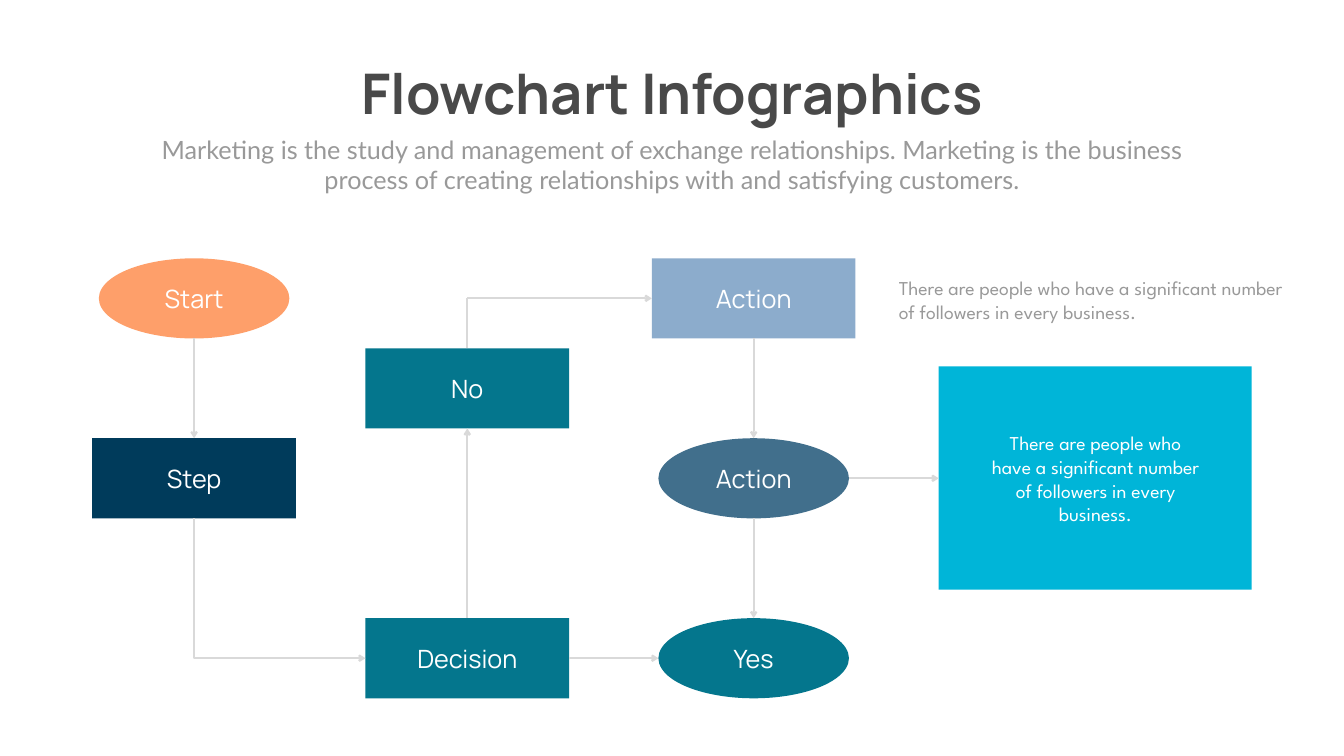
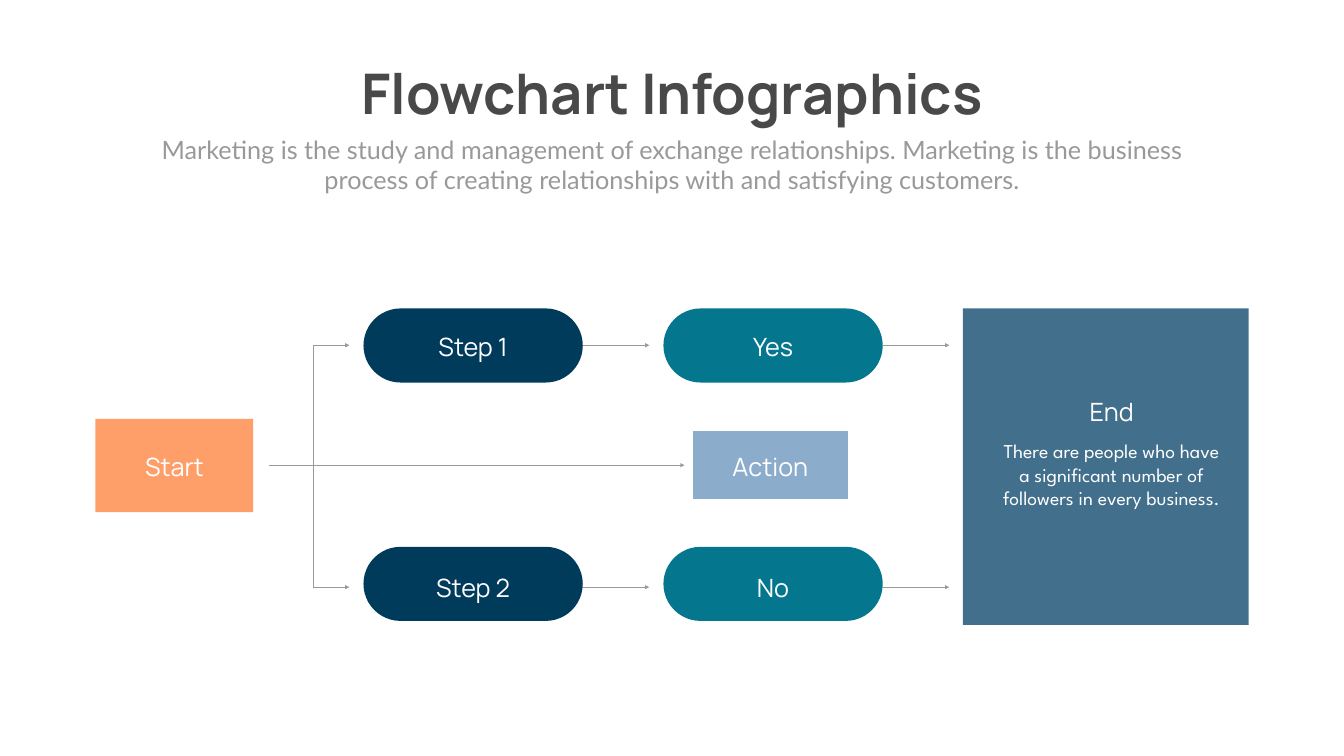
"""Build two flowchart infographic slides."""
from lxml.etree import SubElement
from pptx import Presentation
from pptx.dml.color import RGBColor
from pptx.enum.shapes import MSO_CONNECTOR as CONN, MSO_SHAPE as SHAPE
from pptx.enum.text import MSO_ANCHOR as ANCHOR, MSO_AUTO_SIZE as FIT, PP_ALIGN as ALIGN
from pptx.oxml.ns import qn
from pptx.util import Inches, Pt

WHITE = RGBColor(0xFF, 0xFF, 0xFF)
INK = RGBColor(0x49, 0x49, 0x49)
GREY = RGBColor(0x99, 0x99, 0x99)
PALE = RGBColor(0xD9, 0xD9, 0xD9)
ORANGE = RGBColor(0xFE, 0x9F, 0x6A)
NAVY = RGBColor(0x00, 0x3B, 0x5B)
TEAL = RGBColor(0x04, 0x76, 0x8D)
SKY = RGBColor(0x8C, 0xAC, 0xCC)
STEEL = RGBColor(0x41, 0x6F, 0x8C)
CYAN = RGBColor(0x00, 0xB5, 0xD8)

HEAD, LEAD, NOTE_FONT = "Manrope", "Lato", "League Spartan"
W, H = 26.66, 15

TITLE = "Flowchart Infographics"
SUBTITLE = ("Marketing is the study and management of exchange relationships. "
            "Marketing is the business process of creating relationships with "
            "and satisfying customers.")
NOTE = "There are people who have a significant number of followers in every business."

COLS = (3.85, 9.27, 14.95)
ROW_TOP, ROW_STEP = 5.92, 3.57
NODE_H = 1.59
NODE_W = {SHAPE.OVAL: 3.78, SHAPE.RECTANGLE: 4.04}
NODES = {
    "start": ("Start", SHAPE.OVAL, 0, 0, ORANGE),
    "step": ("Step", SHAPE.RECTANGLE, 0, 1, NAVY),
    "no": ("No", SHAPE.RECTANGLE, 1, 0.5, TEAL),
    "decision": ("Decision", SHAPE.RECTANGLE, 1, 2, TEAL),
    "action": ("Action", SHAPE.RECTANGLE, 2, 0, SKY),
    "review": ("Action", SHAPE.OVAL, 2, 1, STEEL),
    "yes": ("Yes", SHAPE.OVAL, 2, 2, TEAL),
}
DOWN = (("start", "step"), ("action", "review"), ("review", "yes"))
CALLOUT = (18.62, 7.27, 6.21, 4.43)

LANES = (6.85, 9.23, 11.65)
PILL_W, PILL_H = 4.35, 1.47
PILL_COLS, PILL_TOPS = (7.21, 13.16), {0: 6.12, 2: 10.85}
PILLS = (("Step 1", 0, 0, NAVY), ("Step 2", 0, 2, NAVY),
         ("Yes", 1, 0, TEAL), ("No", 1, 2, TEAL))
TRUNK, ARROW = 6.21, 1.32
LABEL_W, LABEL_H = 2.75, 0.71


def write(tf, text, size, font, color, align=ALIGN.CENTER, bold=False):
    p = tf.paragraphs[0]
    p.alignment = align
    p.space_before = Pt(0)
    r = p.add_run()
    r.text = text
    r.font.size, r.font.name, r.font.bold = Pt(size), font, bold
    r.font.color.rgb = color


def place(sp, box):
    sp.left, sp.top, sp.width, sp.height = map(Inches, box)


def add_block(s, kind, box, fill, text=None):
    sp = s.shapes.add_shape(kind, *map(Inches, box))
    sp.shadow.inherit = False
    sp.fill.solid()
    sp.fill.fore_color.rgb = fill
    sp.line.fill.background()
    if text:
        sp.text_frame.vertical_anchor = ANCHOR.MIDDLE
        write(sp.text_frame, text, 36, HEAD, WHITE)
    return sp


def add_text(s, box, text, size, font, color=WHITE, align=ALIGN.CENTER):
    tf = s.shapes.add_textbox(*map(Inches, box)).text_frame
    tf.word_wrap = True
    tf.auto_size = FIT.SHAPE_TO_FIT_TEXT
    write(tf, text, size, font, color, align)


def add_label(s, cx, cy, text):
    add_text(s, (cx - LABEL_W / 2, cy - LABEL_H / 2, LABEL_W, LABEL_H), text, 36, HEAD)


def add_line(s, x1, y1, x2, y2, color, width, head=None, kind=CONN.STRAIGHT):
    c = s.shapes.add_connector(kind, *map(Inches, (x1, y1, x2, y2)))
    c.line.color.rgb, c.line.width = color, Pt(width)
    if head:
        SubElement(c.line._get_or_add_ln(), qn("a:tailEnd"), type=head)
    SubElement(c._element.spPr, qn("a:effectLst"))
    return c


def add_elbow(s, x1, y1, x2, y2, color, width, head):
    cx, cy, dx, dy = (x1 + x2) / 2, (y1 + y2) / 2, x2 - x1, y2 - y1
    c = add_line(s, cx + dy / 2, cy - dx / 2, cx - dy / 2, cy + dx / 2,
                 color, width, head, CONN.ELBOW)
    c._element.spPr.find(qn("a:xfrm")).set("rot", "16200000")
    c._element.spPr.find(qn("a:prstGeom")).set("prst", "bentConnector2")


def add_slide(prs):
    s = prs.slides.add_slide(prs.slide_layouts[0])
    title, lead = s.placeholders
    place(title, (6.55, 1.12, 13.57, 1.45))
    place(lead, (2.92, 2.61, 20.82, 1.31))
    for sp in (title, lead):
        sp.text_frame.vertical_anchor = ANCHOR.TOP
        sp.text_frame.auto_size = FIT.SHAPE_TO_FIT_TEXT
    title.text_frame.word_wrap = False
    write(title.text_frame, TITLE, 80, HEAD, INK, bold=True)
    write(lead.text_frame, SUBTITLE, 36, LEAD, GREY)
    return s


def decision_slide(prs):
    s = add_slide(prs)
    edges = {}
    for key, (text, kind, col, row, fill) in NODES.items():
        w, cx, cy = NODE_W[kind], COLS[col], ROW_TOP + row * ROW_STEP
        left, top = cx - w / 2, cy - NODE_H / 2
        add_block(s, kind, (left, top, w, NODE_H), fill, text)
        edges[key] = {"x": cx, "y": cy, "left": left, "right": left + w,
                      "top": top, "bottom": top + NODE_H}
    add_block(s, SHAPE.RECTANGLE, CALLOUT, CYAN)

    style = (PALE, 3, "arrow")
    for a, b in DOWN:
        add_line(s, edges[a]["x"], edges[a]["bottom"], edges[b]["x"], edges[b]["top"], *style)
    step, no, decision, action, review, yes = (
        edges[k] for k in ("step", "no", "decision", "action", "review", "yes"))
    add_elbow(s, step["x"], step["bottom"], decision["left"], decision["y"], *style)
    add_line(s, decision["x"], decision["top"], no["x"], no["bottom"], *style)
    add_line(s, no["x"], no["top"], no["x"], action["y"], PALE, 3)
    add_line(s, no["x"], action["y"], action["left"], action["y"], *style)
    add_line(s, decision["right"], yes["y"], yes["left"], yes["y"], *style)
    add_line(s, review["right"], review["y"], CALLOUT[0], review["y"], *style)

    add_text(s, (19.54, 8.51, 4.38, 1.99), NOTE, 28, NOTE_FONT)
    add_text(s, (17.73, 5.43, 8.01, 1.04), NOTE, 28, NOTE_FONT, GREY, ALIGN.LEFT)


def branch_slide(prs):
    s = add_slide(prs)
    style = (GREY, 0.5, "triangle")
    add_line(s, 5.34, LANES[1], 13.58, LANES[1], *style)
    add_line(s, TRUNK, LANES[2], TRUNK, LANES[0], GREY, 0.5)
    for y in (LANES[0], LANES[2]):
        add_line(s, TRUNK, y, 6.93, y, *style)
        for x in PILL_COLS:
            add_line(s, x + PILL_W, y, x + PILL_W + ARROW, y, *style)

    add_block(s, SHAPE.RECTANGLE, (1.89, 8.31, 3.13, 1.85), ORANGE)
    add_label(s, 3.46, LANES[1] + 0.03, "Start")
    action = add_block(s, SHAPE.PARALLELOGRAM, (13.74, 8.55, 3.09, 1.36), SKY)
    action.adjustments[0] = 0
    add_label(s, 15.28, LANES[1] + 0.03, "Action")
    for text, col, lane, fill in PILLS:
        x = PILL_COLS[col]
        pill = add_block(s, SHAPE.ROUNDED_RECTANGLE,
                         (x, PILL_TOPS[lane], PILL_W, PILL_H), fill)
        pill.adjustments[0] = 0.5
        add_label(s, x + PILL_W / 2, LANES[lane] + 0.02, text)

    add_block(s, SHAPE.RECTANGLE, (19.1, 6.12, 5.67, 6.28), STEEL)
    add_text(s, (19.73, 8.66, 4.63, 1.99), NOTE, 28, NOTE_FONT)
    add_label(s, 22.05, 8.17, "End")


def main():
    prs = Presentation()
    prs.slide_width, prs.slide_height = Inches(W), Inches(H)
    decision_slide(prs)
    branch_slide(prs)
    prs.save("out.pptx")


if __name__ == "__main__":
    main()
